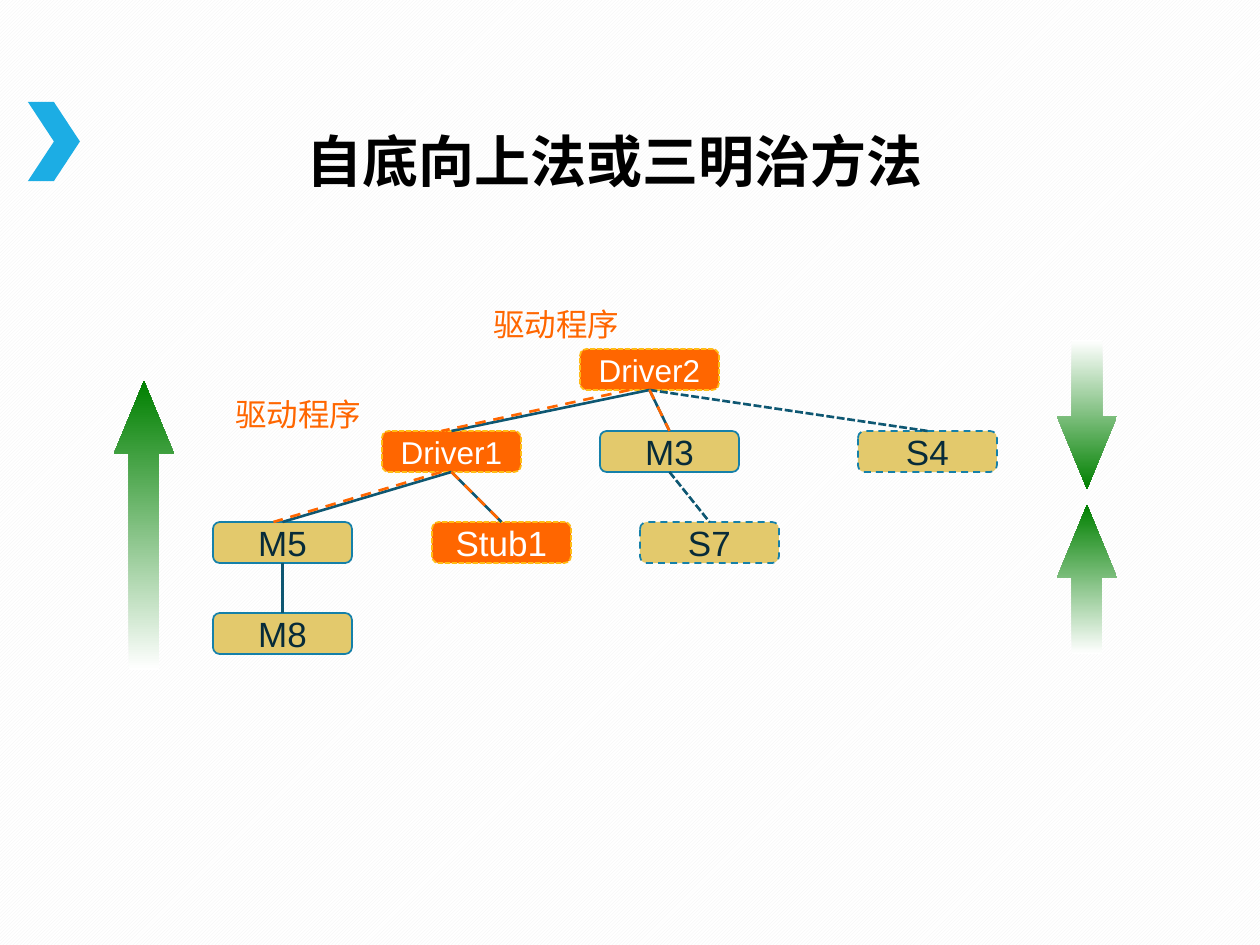
"""Build the slide on bottom-up and sandwich integration testing."""
from lxml import etree
from pptx import Presentation
from pptx import util as u
from pptx.dml.color import RGBColor
from pptx.enum import dml, shapes, text
from pptx.oxml.ns import qn

BLACK = RGBColor(0x00, 0x00, 0x00)
WHITE = RGBColor(0xFF, 0xFF, 0xFF)
HATCH = RGBColor(0xF2, 0xF2, 0xF2)
SKY = RGBColor(0x1C, 0xAD, 0xE4)
SAND = RGBColor(0xE3, 0xC9, 0x6C)
BLUE = RGBColor(0x15, 0x80, 0xA9)
NAVY = RGBColor(0x07, 0x2B, 0x39)
TEAL = RGBColor(0x0E, 0x57, 0x72)
ORANGE = RGBColor(0xFF, 0x66, 0x00)
GOLD = RGBColor(0xFF, 0xBC, 0x15)
GREEN = RGBColor(0x00, 0x80, 0x00)

DASH = dml.MSO_LINE.DASH
SHORT_DASH = dml.MSO_LINE.SQUARE_DOT

PX_PER_INCH = 126
BOX_SIZE = (139, 41)
ROW_TOPS = (349, 431, 522, 613)
CHEVRON = (28, 102, 52, 79)
TITLE = ("自底向上法或三明治方法", (144, 117, 942, 95))
LABEL = "驱动程序"
LABEL_PLACES = ((223, 389, 151, 50), (481, 299, 151, 50))

BOX_STYLES = {
    "module": (SAND, BLUE, None, NAVY),
    "pending": (SAND, BLUE, DASH, NAVY),
    "helper": (ORANGE, GOLD, SHORT_DASH, WHITE),
}
# name, left, row, style, text size
BOXES = (
    ("M3", 600, 1, "module", 20),
    ("S4", 858, 1, "pending", 20),
    ("M5", 213, 2, "module", 20),
    ("M8", 213, 3, "module", 20),
    ("S7", 640, 2, "pending", 20),
    ("Driver1", 382, 1, "helper", 18),
    ("Driver2", 580, 0, "helper", 18),
    ("Stub1", 432, 2, "helper", 20),
)
LINK_STYLES = {"call": (TEAL, None), "pending": (TEAL, SHORT_DASH), "test": (ORANGE, DASH)}
# parent, child, style, shift at parent, shift at child
LINKS = (
    ("Driver2", "Driver1", "call", 0, 0),
    ("Driver2", "M3", "call", 0, 0),
    ("Driver1", "M5", "call", 0, 0),
    ("Driver1", "Stub1", "call", 0, 0),
    ("M5", "M8", "call", 0, 0),
    ("M3", "S7", "pending", 0, 0),
    ("Driver2", "S4", "pending", 0, 0),
    ("Driver1", "M5", "test", -10, -9),
    ("Driver2", "Driver1", "test", -20, -10),
    ("Driver2", "M3", "test", 0, 0),
    ("Driver1", "Stub1", "test", 0, 0),
)
# place, rotation
ARROWS = (
    ((114, 381, 60, 289), 0),
    ((1057, 505, 60, 149), 0),
    ((1057, 340, 60, 149), 180),
)


def px(value):
    return u.Emu(round(value * u.Inches(1) / PX_PER_INCH))


def apply(target, values):
    for name, value in values.items():
        setattr(target, name, value)


def write(shape, words, frame_values, size, color, align, bold=False, spacing=None):
    frame = shape.text_frame
    apply(frame, frame_values)
    paragraph = frame.paragraphs[0]
    apply(paragraph, {"alignment": align, "line_spacing": spacing})
    run = paragraph.add_run()
    run.text = words
    apply(run.font, {"name": "Arial", "size": u.Pt(size), "bold": bold})
    run.font.color.rgb = color


def set_line(line, color, width, dash):
    line.color.rgb = color
    apply(line, {"width": u.Pt(width), "dash_style": dash})


def add_shape(slide, kind, place):
    shape = slide.shapes.add_shape(kind, *map(px, place))
    shape.shadow.inherit = False
    shape.line.fill.background()
    return shape


def add_box(slide, name, left, row, style, size):
    fill, line, dash, color = BOX_STYLES[style]
    place = (left, ROW_TOPS[row], *BOX_SIZE)
    box = add_shape(slide, shapes.MSO_SHAPE.ROUNDED_RECTANGLE, place)
    box.fill.solid()
    box.fill.fore_color.rgb = fill
    set_line(box.line, line, 1, dash)
    write(box, name, {"vertical_anchor": text.MSO_ANCHOR.MIDDLE}, size, color,
          text.PP_ALIGN.CENTER)
    return box


def add_link(slide, parent, child, style, parent_shift, child_shift):
    start = parent.left + parent.width // 2 + px(parent_shift)
    end = child.left + child.width // 2 + px(child_shift)
    link = slide.shapes.add_connector(
        shapes.MSO_CONNECTOR.STRAIGHT, start, parent.top + parent.height, end, child.top)
    if not parent_shift:
        link.begin_connect(parent, 2)
    if not child_shift:
        link.end_connect(child, 0)
    color, dash = LINK_STYLES[style]
    set_line(link.line, color, 1.5, dash)
    etree.SubElement(link._element.spPr, qn("a:effectLst"))


def add_arrow(slide, place, rotation):
    arrow = add_shape(slide, shapes.MSO_SHAPE.UP_ARROW, place)
    arrow.rotation = rotation
    arrow.adjustments[0] = 0.5
    arrow.adjustments[1] = 1.21
    arrow.fill.gradient()
    arrow.fill.gradient_angle = 90
    for stop, color in zip(arrow.fill.gradient_stops, (WHITE, GREEN)):
        stop.color.rgb = color


def main():
    presentation = Presentation()
    apply(presentation, {"slide_width": u.Inches(10), "slide_height": u.Inches(7.5)})
    slide = presentation.slides.add_slide(presentation.slide_layouts[6])

    background = slide.background.fill
    background.patterned()
    background.pattern = dml.MSO_PATTERN.LIGHT_UPWARD_DIAGONAL
    background.fore_color.rgb = HATCH
    background.back_color.rgb = WHITE

    chevron = add_shape(slide, shapes.MSO_SHAPE.CHEVRON, CHEVRON)
    chevron.fill.solid()
    chevron.fill.fore_color.rgb = SKY

    words, place = TITLE
    write(slide.shapes.add_textbox(*map(px, place)), words,
          {"word_wrap": True, "vertical_anchor": text.MSO_ANCHOR.MIDDLE},
          32, BLACK, text.PP_ALIGN.CENTER, bold=True, spacing=0.9)

    boxes = {box[0]: add_box(slide, *box) for box in BOXES}
    for parent, child, *rest in LINKS:
        add_link(slide, boxes[parent], boxes[child], *rest)
    for arrow in ARROWS:
        add_arrow(slide, *arrow)
    for place in LABEL_PLACES:
        write(slide.shapes.add_textbox(*map(px, place)), LABEL,
              {"word_wrap": False, "auto_size": text.MSO_AUTO_SIZE.SHAPE_TO_FIT_TEXT},
              18, ORANGE, text.PP_ALIGN.LEFT)

    presentation.save("out.pptx")


if __name__ == "__main__":
    main()
